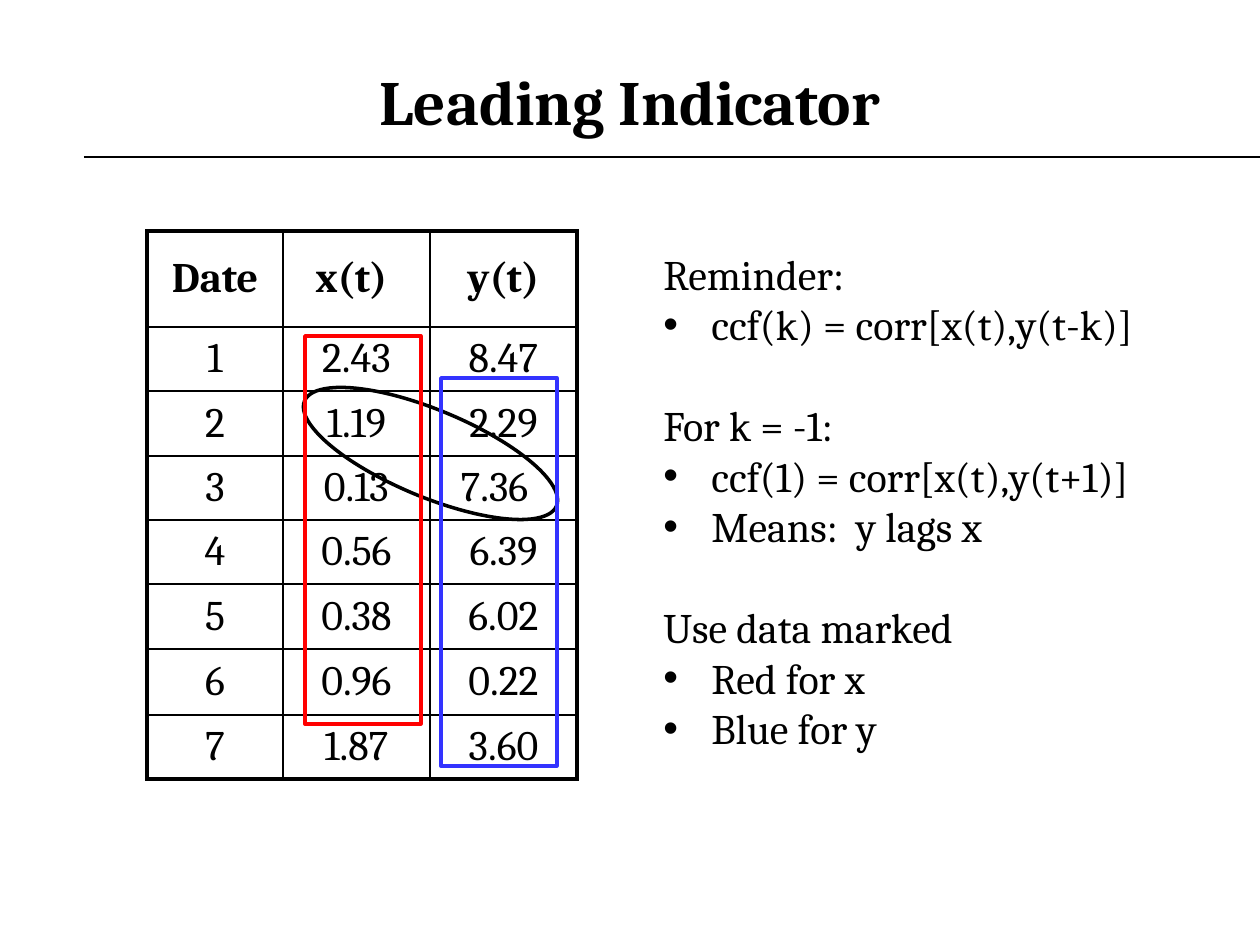
from dataclasses import dataclass

from lxml.etree import SubElement
from pptx import Presentation
from pptx.dml.color import RGBColor as RGB
from pptx.enum.shapes import MSO_CONNECTOR as CONN, MSO_SHAPE as SHAPE
from pptx.enum.text import MSO_ANCHOR as ANCHOR, PP_ALIGN as ALIGN
from pptx.oxml.ns import qn
from pptx.util import Emu, Pt


@dataclass(frozen=True)
class Theme:
    """Colours, font and sizes of the slide."""
    font: str = "Cambria"
    ink: str = "000000"
    red: str = "FF0000"
    blue: str = "3333FF"
    title: int = 36
    body: int = 24
    gap: int = 29
    hair: float = 0.75
    thin: float = 1
    mark: float = 2
    frame: float = 2.25


T = Theme()
ROWS = [
    ("Date", "x(t)", "y(t)"),
    ("1", "2.43", "8.47"),
    ("2", "1.19", "2.29"),
    ("3", "0.13", "7.36"),
    ("4", "0.56", "6.39"),
    ("5", "0.38", "6.02"),
    ("6", "0.96", "0.22"),
    ("7", "1.87", "3.60"),
]
COL_WIDTHS = (136, 147, 147)
ROW_HEIGHTS = (96, 64, 65, 64, 64, 65, 66, 64)
SHIFTED = {"x(t)": 10, "7.36": 18}
NOTES = [
    ("Reminder:", ["ccf(k) = corr[x(t),y(t-k)]"]),
    ("For k = -1:", ["ccf(1) = corr[x(t),y(t+1)]", "Means:  y lags x"]),
    ("Use data marked", ["Red for x", "Blue for y"]),
]


def px(n):
    """Turn pixels into EMU."""
    return Emu(round(n * 914400 / 126))


def add_run(p, text, size=T.body, bold=False):
    """Add one styled run to a paragraph."""
    r = p.add_run()
    r.text = text
    r.font.name, r.font.size, r.font.bold = T.font, Pt(size), bold
    r.font.color.rgb = RGB.from_string(T.ink)


def add_box(s, *box):
    """Add a wrapping text box and return its frame."""
    tf = s.shapes.add_textbox(*map(px, box)).text_frame
    tf.word_wrap = True
    return tf


def add_title(s, text):
    """Add the centred title and the rule below it."""
    tf = add_box(s, 63, 42, 1134, 116)
    tf.vertical_anchor = ANCHOR.MIDDLE
    p = tf.paragraphs[0]
    p.alignment = ALIGN.CENTER
    add_run(p, text, T.title, True)
    rule = s.shapes.add_connector(CONN.STRAIGHT, *map(px, (84, 157, 1260, 157)))
    rule.line.color.rgb, rule.line.width = RGB.from_string(T.ink), Pt(T.hair)
    SubElement(rule._element.spPr, qn("a:effectLst"))


def hang(p, bullet):
    """Give a paragraph a hanging indent, with or without a bullet."""
    pPr = p._p.get_or_add_pPr()
    pPr.set("marL", str(px(48)))
    pPr.set("indent", str(px(-48)))
    if bullet:
        SubElement(pPr, qn("a:buFont"), typeface="Arial")
        SubElement(pPr, qn("a:buChar"), char="•")
    else:
        SubElement(pPr, qn("a:buNone"))


def add_notes(s, groups):
    """Add headed bullet groups parted by paragraph spacing."""
    tf = add_box(s, 651, 242, 504, 525)
    for i, (head, items) in enumerate(groups):
        p = tf.add_paragraph() if i else tf.paragraphs[0]
        if i:
            p.space_before = Pt(T.gap)
        hang(p, False)
        add_run(p, head)
        for item in items:
            p = tf.add_paragraph()
            hang(p, True)
            add_run(p, item)


def set_borders(cell, heavy):
    """Draw the four cell borders, thicker on the heavy sides."""
    tcPr = cell._tc.get_or_add_tcPr()
    for side in "LRTB":
        width = Pt(T.frame if side in heavy else T.thin)
        ln = SubElement(tcPr, qn(f"a:ln{side}"), w=str(width))
        SubElement(SubElement(ln, qn("a:solidFill")), qn("a:srgbClr"), val=T.ink)


def add_data_table(s, rows):
    """Add the data table with a heavy outer frame."""
    n, m = len(rows), len(rows[0])
    box = (147, 231, sum(COL_WIDTHS), sum(ROW_HEIGHTS))
    table = s.shapes.add_table(n, m, *map(px, box)).table
    table.first_row = table.horz_banding = False
    for col, w in zip(table.columns, COL_WIDTHS):
        col.width = px(w)
    for row, h in zip(table.rows, ROW_HEIGHTS):
        row.height = px(h)
    for i, values in enumerate(rows):
        for j, value in enumerate(values):
            cell = table.cell(i, j)
            edges = {"L": j == 0, "R": j == m - 1, "T": i == 0, "B": i == n - 1}
            set_borders(cell, [side for side, outer in edges.items() if outer])
            cell.fill.background()
            cell.vertical_anchor = ANCHOR.MIDDLE
            cell.margin_right = cell.margin_left + px(SHIFTED.get(value, 0))
            p = cell.text_frame.paragraphs[0]
            p.alignment = ALIGN.CENTER
            add_run(p, value, bold=i == 0)


def add_marker(s, kind, box, color, angle=0):
    """Add an unfilled outline that marks data."""
    sp = s.shapes.add_shape(kind, *map(px, box))
    sp.shadow.inherit = False
    sp.fill.background()
    sp.line.color.rgb, sp.line.width = RGB.from_string(color), Pt(T.mark)
    sp.rotation = angle


def main():
    """Build and save the slide."""
    prs = Presentation()
    prs.slide_width, prs.slide_height = px(1260), px(945)
    s = prs.slides.add_slide(prs.slide_layouts[6])
    add_title(s, "Leading Indicator")
    add_notes(s, NOTES)
    add_data_table(s, ROWS)
    add_marker(s, SHAPE.OVAL, (294, 410, 273, 87), T.ink, 22.6)
    add_marker(s, SHAPE.RECTANGLE, (305, 336, 116, 388), T.red)
    add_marker(s, SHAPE.RECTANGLE, (441, 378, 116, 388), T.blue)
    prs.save("out.pptx")


if __name__ == "__main__":
    main()
